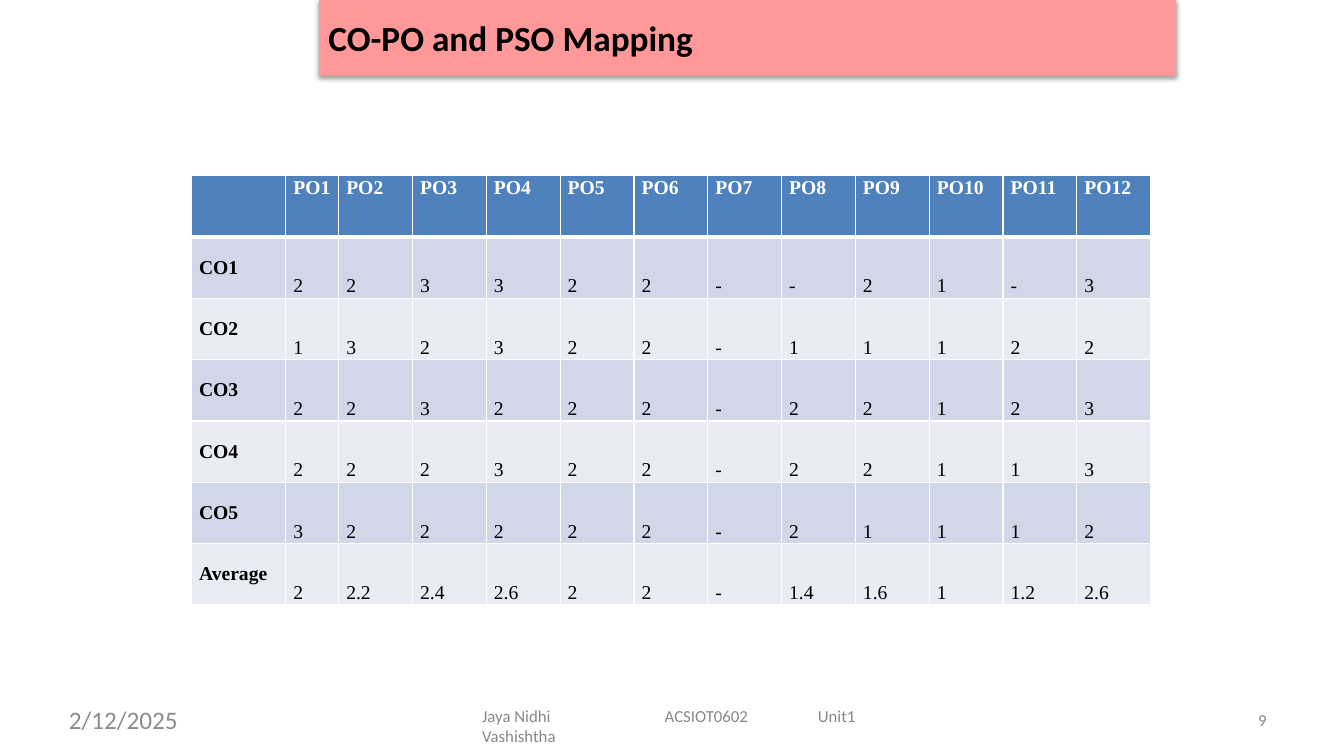
from pptx import Presentation
from pptx import util as u
from pptx.dml.color import RGBColor
from pptx.enum import text
from pptx.oxml import parse_xml
from pptx.oxml.ns import nsdecls

Pt = u.Pt
SERIF, SANS = "Times New Roman", "Calibri"
HEADERS = [""] + [f"PO{n}" for n in range(1, 13)]
ROWS = [
    ["CO1", *"223322--21-3"],
    ["CO2", *"132322-11122"],
    ["CO3", *"223222-22123"],
    ["CO4", *"222322-22113"],
    ["CO5", *"322222-21112"],
    ["Average", "2", "2.2", "2.4", "2.6", "2", "2", "-", "1.4", "1.6", "1", "1.2", "2.6"],
]
FOOTERS = [
    ("2/12/2025", 48.2, 501.8, 221, 27, 18, "8C8C8C"),
    ("Jaya Nidhi Vashishtha", 343.4, 503.3, 100, 30, 12, "888888"),
    ("ACSIOT0602", 473.8, 503.3, 62, 16.6, 12, "888888"),
    ("Unit1", 583.2, 503.3, 29, 16.6, 12, "888888"),
    ("9", 897.8, 506.2, 8, 16.6, 12, "888888"),
]


def color(value):
    return RGBColor.from_string(value)


def set_font(p, name, size, value, bold=False):
    f = p.font
    f.name, f.size, f.bold = name, Pt(size), bold
    f.color.rgb = color(value)


def set_margins(box, left, top, right, bottom):
    box.margin_left, box.margin_top = Pt(left), Pt(top)
    box.margin_right, box.margin_bottom = Pt(right), Pt(bottom)


def add_title(s, title):
    sp = s.shapes.title
    sp.left, sp.top, sp.width, sp.height = Pt(228), Pt(0), Pt(612), Pt(54)
    sp.fill.solid()
    sp.fill.fore_color.rgb = color("FF9999")
    sp._element.spPr.append(parse_xml(
        f'<a:effectLst {nsdecls("a")}>'
        f'<a:outerShdw blurRad="{Pt(3.1)}" dist="{Pt(1.6)}" dir="5400000" rotWithShape="0">'
        '<a:srgbClr val="000000"><a:alpha val="38000"/></a:srgbClr>'
        '</a:outerShdw></a:effectLst>'))
    tf = sp.text_frame
    tf.text = title
    tf.auto_size = text.MSO_AUTO_SIZE.NONE
    tf.vertical_anchor = text.MSO_ANCHOR.MIDDLE
    set_margins(tf, 6.6, 3, 6.6, 3)
    p = tf.paragraphs[0]
    p.alignment = text.PP_ALIGN.LEFT
    set_font(p, SANS, 25.2, "000000", True)


def set_borders(cell, top, bottom):
    tcPr = cell._tc.get_or_add_tcPr()
    for side, width in (("L", 1), ("R", 1), ("T", top), ("B", bottom)):
        tcPr.append(parse_xml(
            f'<a:ln{side} {nsdecls("a")} w="{Pt(width)}"><a:solidFill>'
            f'<a:srgbClr val="FFFFFF"/></a:solidFill></a:ln{side}>'))


def fill_cell(cell, row, col, value):
    set_borders(cell, 3 if row == 1 else 1, 3 if row == 0 else 1)
    if row == 0:
        fill, ink, anchor = "4F81BC", "FFFFFF", text.MSO_ANCHOR.TOP
    else:
        fill, ink = "D0D7E8" if row % 2 else "E9ECF4", "000000"
        anchor = text.MSO_ANCHOR.BOTTOM if col else text.MSO_ANCHOR.MIDDLE
    cell.fill.solid()
    cell.fill.fore_color.rgb = color(fill)
    cell.vertical_anchor = anchor
    set_margins(cell, 5.4, 1, 0, 1)
    cell.text = value
    set_font(cell.text_frame.paragraphs[0], SERIF, 14, ink, row == 0 or col == 0)


def add_mapping_table(s):
    widths = [67.4, 37.8] + [52.75] * 11
    grid = [HEADERS] + ROWS
    height = 43.85
    table = s.shapes.add_table(len(grid), len(widths), Pt(136.8), Pt(125.4),
                               Pt(sum(widths)), Pt(height * len(grid))).table
    for column, width in zip(table.columns, widths):
        column.width = Pt(width)
    for row, values in enumerate(grid):
        table.rows[row].height = Pt(height)
        for col, value in enumerate(values):
            fill_cell(table.cell(row, col), row, col, value)


def add_footer(s, label, left, top, width, height, size, ink):
    tf = s.shapes.add_textbox(Pt(left), Pt(top), Pt(width), Pt(height)).text_frame
    tf.word_wrap = " " in label
    set_margins(tf, 1, 1, 0, 0)
    tf.text = label
    set_font(tf.paragraphs[0], SANS, size, ink)


def main():
    prs = Presentation()
    prs.slide_width, prs.slide_height = Pt(960), Pt(540)
    s = prs.slides.add_slide(prs.slide_layouts[5])
    add_title(s, "CO-PO and PSO Mapping")
    add_mapping_table(s)
    for footer in FOOTERS:
        add_footer(s, *footer)
    prs.save("out.pptx")


if __name__ == "__main__":
    main()
